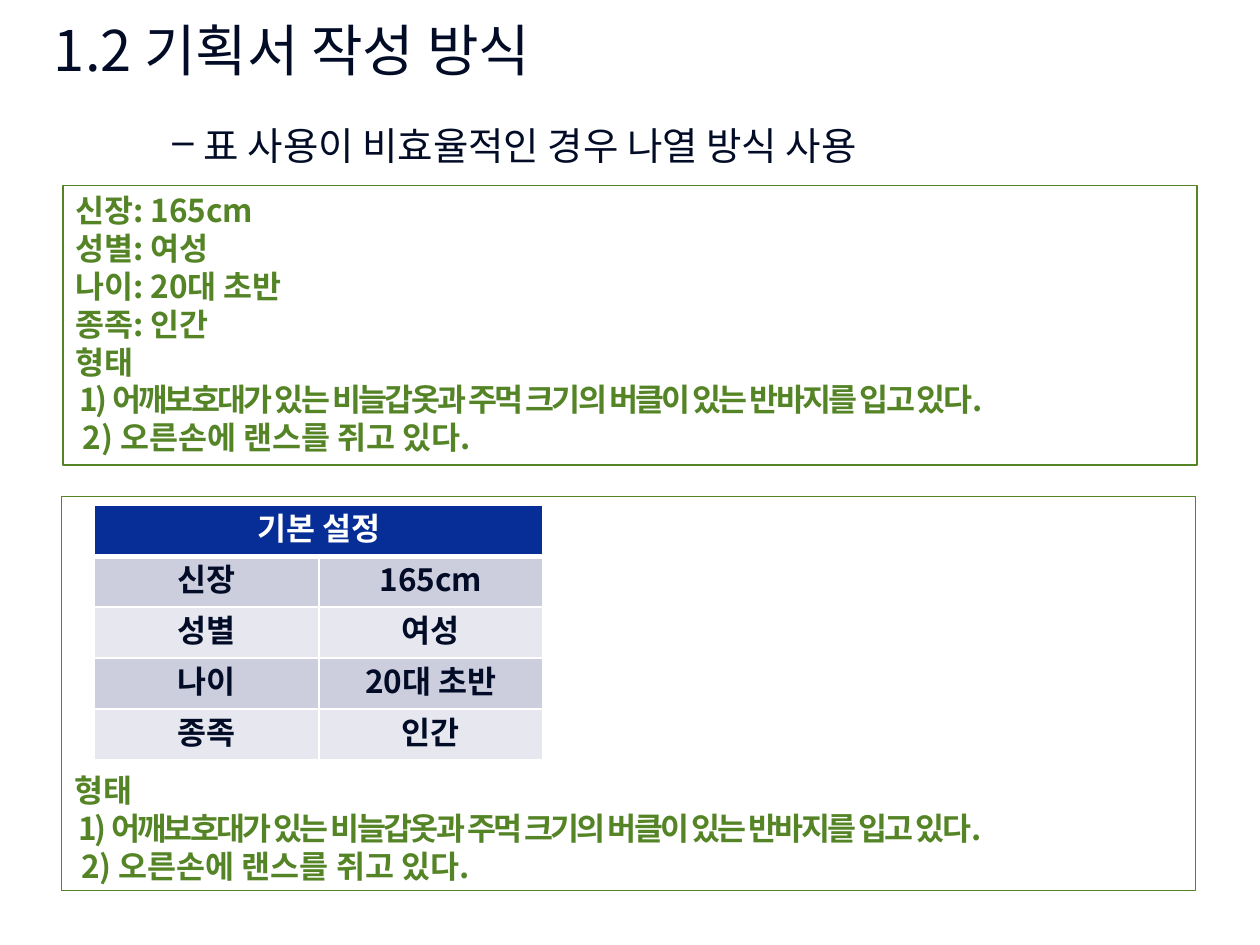
from typing import NamedTuple

from lxml import etree
from pptx import Presentation
from pptx.dml.color import RGBColor
from pptx.enum.shapes import MSO_SHAPE
from pptx.enum.text import MSO_ANCHOR, PP_ALIGN
from pptx.oxml.ns import qn
from pptx.util import Inches, Pt

FONT = "Noto Sans CJK KR"
NAVY, GREEN, WHITE = "020C27", "548426", "FFFFFF"
HEADER_FILL, BAND_FILLS = "072E96", ("CCCDDD", "E7E8EF")
LEFT, CENTER, JUSTIFY = PP_ALIGN.LEFT, PP_ALIGN.CENTER, PP_ALIGN.JUSTIFY
TOP, MIDDLE, BOTTOM = MSO_ANCHOR.TOP, MSO_ANCHOR.MIDDLE, MSO_ANCHOR.BOTTOM
RECTANGLE = MSO_SHAPE.RECTANGLE
LINE_HEIGHT = 1.2


class Line(NamedTuple):
    text: str
    tracking: float = 0


class Box(NamedTuple):
    left: float
    top: float
    width: float
    height: float
    lines: list[Line]
    anchor: MSO_ANCHOR


TRAITS = [("신장", "165cm"), ("성별", "여성"), ("나이", "20대 초반"), ("종족", "인간")]
APPEARANCE = [
    Line("형태"),
    Line(" 1) 어깨보호대가 있는 비늘갑옷과 주먹 크기의 버클이 있는 반바지를 입고 있다.", -1.5),
    Line(" 2) 오른손에 랜스를 쥐고 있다."),
]
TRAIT_LINES = [Line(f"{name}: {value}") for name, value in TRAITS]
BOXES = [
    Box(0.5, 1.47, 9, 2.22, TRAIT_LINES + APPEARANCE, TOP),
    Box(0.49, 3.94, 9, 3.13, APPEARANCE, BOTTOM),
]


def rgb(value: str) -> RGBColor:
    return RGBColor.from_string(value)


def write(p, text: str, *, size: float = 18, color: str = NAVY, bold: bool = False,
          align: PP_ALIGN = LEFT, tracking: float = 0) -> None:
    p.alignment = align
    p.line_spacing = Pt(size * LINE_HEIGHT)
    r = p.add_run()
    r.text = text
    r.font.name, r.font.size, r.font.bold = FONT, Pt(size), bold
    r.font.color.rgb = rgb(color)
    rpr = r.font._element
    rpr.set("spc", str(int(tracking * 100)))
    etree.SubElement(rpr, qn("a:ea"), typeface=FONT)


def add_text(slide, left: float, top: float, width: float, height: float,
             text: str, anchor: MSO_ANCHOR = TOP, **style):
    """Add a one-paragraph text box and return its paragraph."""
    sp = slide.shapes.add_textbox(Inches(left), Inches(top), Inches(width), Inches(height))
    tf = sp.text_frame
    tf.word_wrap, tf.vertical_anchor = True, anchor
    p = tf.paragraphs[0]
    write(p, text, **style)
    return p


def add_bullet(p, char: str, margin: float, indent: float) -> None:
    ppr = p._p.get_or_add_pPr()
    ppr.set("marL", str(Inches(margin)))
    ppr.set("indent", str(Inches(indent)))
    etree.SubElement(ppr, qn("a:buChar"), char=char)


def add_box(slide, box: Box) -> None:
    sp = slide.shapes.add_shape(RECTANGLE, Inches(box.left), Inches(box.top),
                                Inches(box.width), Inches(box.height))
    sp.shadow.inherit = False
    sp.fill.background()
    sp.line.color.rgb = rgb(GREEN)
    sp.line.width = Pt(0.75)
    tf = sp.text_frame
    tf.word_wrap, tf.vertical_anchor = True, box.anchor
    for i, line in enumerate(box.lines):
        p = tf.add_paragraph() if i else tf.paragraphs[0]
        write(p, line.text, color=GREEN, bold=True, tracking=line.tracking)


def style_cell(cell, fill: str, top: float = 1, bottom: float = 1) -> None:
    """Set white borders, with widths in points, and then the fill."""
    tcpr = cell._tc.get_or_add_tcPr()
    for side, width in (("L", 1), ("R", 1), ("T", top), ("B", bottom)):
        ln = etree.SubElement(tcpr, qn(f"a:ln{side}"), w=str(Pt(width)))
        solid = etree.SubElement(ln, qn("a:solidFill"))
        etree.SubElement(solid, qn("a:srgbClr"), val=WHITE)
    cell.fill.solid()
    cell.fill.fore_color.rgb = rgb(fill)


def add_trait_table(slide, left: float, top: float, col_width: float,
                    row_height: float) -> None:
    rows = len(TRAITS) + 1
    table = slide.shapes.add_table(rows, 2, Inches(left), Inches(top),
                                   Inches(2 * col_width), Inches(rows * row_height)).table
    table.first_row = table.horz_banding = False
    for column in table.columns:
        column.width = Inches(col_width)
    for row in table.rows:
        row.height = Inches(row_height)

    header = table.cell(0, 0)
    header.merge(table.cell(0, 1))
    for c in range(2):
        style_cell(table.cell(0, c), HEADER_FILL, bottom=3)
    write(header.text_frame.paragraphs[0], "기본 설정", color=WHITE, bold=True, align=CENTER)

    for i, trait in enumerate(TRAITS):
        for c, text in enumerate(trait):
            cell = table.cell(i + 1, c)
            style_cell(cell, BAND_FILLS[i % 2], top=1 if i else 3)
            write(cell.text_frame.paragraphs[0], text, bold=True, align=CENTER)


def main() -> None:
    prs = Presentation()
    prs.slide_width, prs.slide_height = Inches(10), Inches(7.5)
    slide = prs.slides.add_slide(prs.slide_layouts[6])
    add_text(slide, 0.33, 0, 9, 0.78, "1.2 기획서 작성 방식", MIDDLE, size=32)
    p = add_text(slide, 0.5, 0.92, 9, 0.5, "표 사용이 비효율적인 경우 나열 방식 사용",
                 size=22, align=JUSTIFY)
    add_bullet(p, "–", 1.02, -0.25)
    for box in BOXES:
        add_box(slide, box)
    add_trait_table(slide, 0.75, 4.01, 1.78, 0.405)
    prs.save("out.pptx")


if __name__ == "__main__":
    main()
